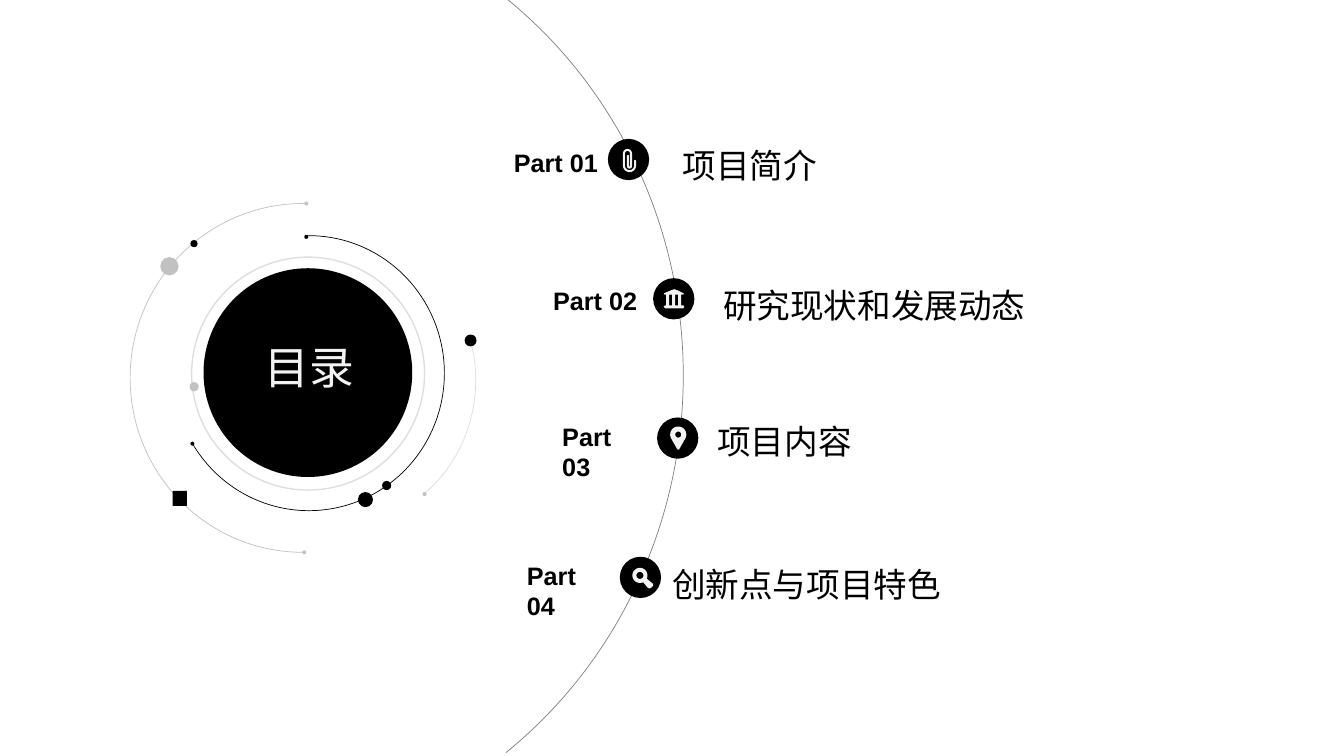
from math import cos, radians, sin

from pptx import Presentation
from pptx.dml.color import RGBColor
from pptx.enum.shapes import MSO_SHAPE as Shape
from pptx.enum.text import MSO_AUTO_SIZE as AutoSize, PP_ALIGN as Align
from pptx.util import Cm, Pt

BLACK = RGBColor(0x00, 0x00, 0x00)
GREY = RGBColor(0x80, 0x80, 0x80)
SILVER = RGBColor(0xC1, 0xC1, 0xC1)
PALE = RGBColor(0xDD, 0xDE, 0xE1)
OFF_WHITE = RGBColor(0xF2, 0xF2, 0xF2)

BADGE = 1.04       # badge diameter, cm
ICON_GRID = 41     # icon units across one badge
ROW_STEP = 3.51    # distance between contents rows, cm


# Basic parts
def add_filled(page, kind, left, top, width, height, color):
    shape = page.shapes.add_shape(kind, Cm(left), Cm(top), Cm(width), Cm(height))
    shape.shadow.inherit = False
    shape.fill.solid()
    shape.fill.fore_color.rgb = color
    shape.line.fill.background()
    return shape


def add_dot(page, left, top, size, color):
    return add_filled(page, Shape.OVAL, left, top, size, size, color)


def add_outline(page, kind, left, top, width, height, color, weight):
    shape = page.shapes.add_shape(kind, Cm(left), Cm(top), Cm(width), Cm(height))
    shape.shadow.inherit = False
    shape.fill.background()
    shape.line.color.rgb = color
    shape.line.width = Pt(weight)
    return shape


def add_arc(page, left, top, width, height, start, end, color):
    arc = add_outline(page, Shape.ARC, left, top, width, height, color, 0.5)
    # Adjustments count 100000ths, angles 60000ths of a degree
    arc.adjustments[0] = start * 0.6
    arc.adjustments[1] = end * 0.6


def add_text(page, left, top, width, height, text, size, font, color,
             bold=False, align=Align.LEFT):
    box = page.shapes.add_textbox(Cm(left), Cm(top), Cm(width), Cm(height))
    frame = box.text_frame
    frame.word_wrap = True
    frame.auto_size = AutoSize.SHAPE_TO_FIT_TEXT
    para = frame.paragraphs[0]
    para.alignment = align
    span = para.add_run()
    span.text = text
    span.font.size = Pt(size)
    span.font.name = font
    span.font.bold = bold
    span.font.color.rgb = color


# Icon outlines, on a grid of 41 units per badge
def curve(x, y, radius, start, end, steps=24):
    angles = [radians(start + (end - start) * i / steps) for i in range(steps + 1)]
    return [(x + radius * cos(a), y + radius * sin(a)) for a in angles]


def block(left, top, right, bottom):
    return [(left, top), (right, top), (right, bottom), (left, bottom)]


CLIP = [curve(21.5, 26.5, 6.5, 180, 0) + curve(27, 22, 1, 0, -180)
        + curve(21.5, 26.5, 4.5, 0, 180) + curve(19.5, 14.5, 2.5, 180, 360)
        + curve(21.5, 27, 0.5, 0, 180) + curve(20, 17, 1, 0, -180)
        + curve(21.5, 27, 2.5, 180, 0) + curve(19.5, 14.5, 4.5, 0, -180)]
BANK = [[(21, 11), (24, 12), (30, 15), (31, 16), (28, 16.5), (28, 27), (30, 27),
         (31, 28.5), (30, 30), (12, 30), (10.5, 28.5), (12, 27), (13, 27),
         (13, 16.5), (10.5, 16), (11, 15), (18, 12)],
        block(16, 16.5, 19, 27), block(22, 16.5, 25, 27)]
PIN = [curve(21, 17, 8, 155, 385) + [(22, 31.5), (21, 32), (20, 31.5)],
       curve(21, 17, 3, 0, 360)]
LENS = [curve(20, 18.5, 7.5, 65, 385)
        + [(33, 27), (33, 29), (31, 31), (29, 31.5), (28, 31)],
        curve(20, 18.5, 3.5, 0, 360)]


def add_icon(page, left, top, outlines):
    scaled = [[(x * 100, y * 100) for x, y in outline] for outline in outlines]
    first, *holes = scaled
    builder = page.shapes.build_freeform(
        *first[0], scale=Cm(BADGE) / (ICON_GRID * 100))
    builder.add_line_segments(first[1:], close=True)
    for hole in holes:
        builder.move_to(*hole[0])
        builder.add_line_segments(hole[1:], close=True)
    icon = builder.convert_to_shape(Cm(left), Cm(top))
    icon.shadow.inherit = False
    icon.fill.solid()
    icon.fill.fore_color.rgb = OFF_WHITE
    icon.line.fill.background()


# Title disc with its orbits
def draw_hub(page, left, top):
    orbits = [  # left, top, width, height, start, end, colour
        (0, 0.05, 8.71, 8.79, 89.5, 271, SILVER),
        (1.85, 0.86, 6.86, 7.29, 344, 52.85, PALE),
        (1.09, 0.86, 6.83, 6.93, 268.9, 149, BLACK),
    ]
    dots = [  # left, top, size, colour
        (4.39, 0, 0.1, SILVER), (4.34, 8.79, 0.1, SILVER),
        (7.37, 7.32, 0.1, SILVER), (4.39, 0.84, 0.1, BLACK),
        (1.52, 6.05, 0.1, BLACK), (5.74, 7.32, 0.38, BLACK),
        (6.35, 7.04, 0.23, BLACK), (8.43, 3.35, 0.3, BLACK),
        (1.5, 4.55, 0.23, SILVER), (0.76, 1.4, 0.46, SILVER),
        (1.52, 0.97, 0.18, BLACK),
    ]
    for x, y, width, height, start, end, color in orbits:
        add_arc(page, left + x, top + y, width, height, start, end, color)
    add_dot(page, left + 1.85, top + 1.68, 5.26, BLACK)
    add_outline(page, Shape.OVAL, left + 1.55, top + 1.4, 5.87, 5.87, PALE, 1)
    add_text(page, left + 2.16, top + 3.35, 4.7, 1.63, "目录", 32, "Lato",
             OFF_WHITE, align=Align.CENTER)
    for x, y, size, color in dots:
        add_dot(page, left + x, top + y, size, color)
    add_filled(page, Shape.RECTANGLE, left + 1.07, top + 7.29, 0.36, 0.38, BLACK)


# One contents row, placed from its badge
def draw_row(page, left, top, number, icon, label, title):
    label_x, label_y, label_width = label
    title_x, title_y, title_width, text, align = title
    add_text(page, left + label_x, top + label_y, label_width, 1.02,
             f"Part {number:02}", 18, "Arial", BLACK, bold=True)
    add_text(page, left + title_x, top + title_y, title_width, 1.27,
             text, 24, "Lato", BLACK, align=align)
    add_dot(page, left, top, BADGE, BLACK)
    add_icon(page, left, top, icon)


# Contents rows along the large arc
def draw_contents(page, top):
    add_arc(page, -5.97, -2.59, 23.19, 24.1, 307.1, 53.15, GREY)
    rows = [  # badge left, icon, label offset and width, title offset and width
        (15.32, CLIP, (-2.62, 0.08, 2.84),
         (1.63, 0.03, 5.79, "项目简介", Align.LEFT)),
        (16.46, BANK, (-2.77, 0.05, 2.84),
         (1.17, 0.05, 8.81, "研究现状和发展动态", Align.CENTER)),
        (16.56, PIN, (-2.64, -0.03, 2.59),
         (1.27, -0.03, 5.79, "项目内容", Align.LEFT)),
        (15.62, LENS, (-2.59, -0.03, 2.59),
         (1.07, 0.05, 8.05, "创新点与项目特色", Align.LEFT)),
    ]
    for i, (left, icon, label, title) in enumerate(rows):
        draw_row(page, left, top + i * ROW_STEP, i + 1, icon, label, title)


def main():
    deck = Presentation()
    deck.slide_width, deck.slide_height = Cm(33.87), Cm(19.05)
    page = deck.slides.add_slide(deck.slide_layouts[6])
    draw_hub(page, 3.28, 5.08)
    draw_contents(page, 3.5)
    deck.save("out.pptx")


if __name__ == "__main__":
    main()
